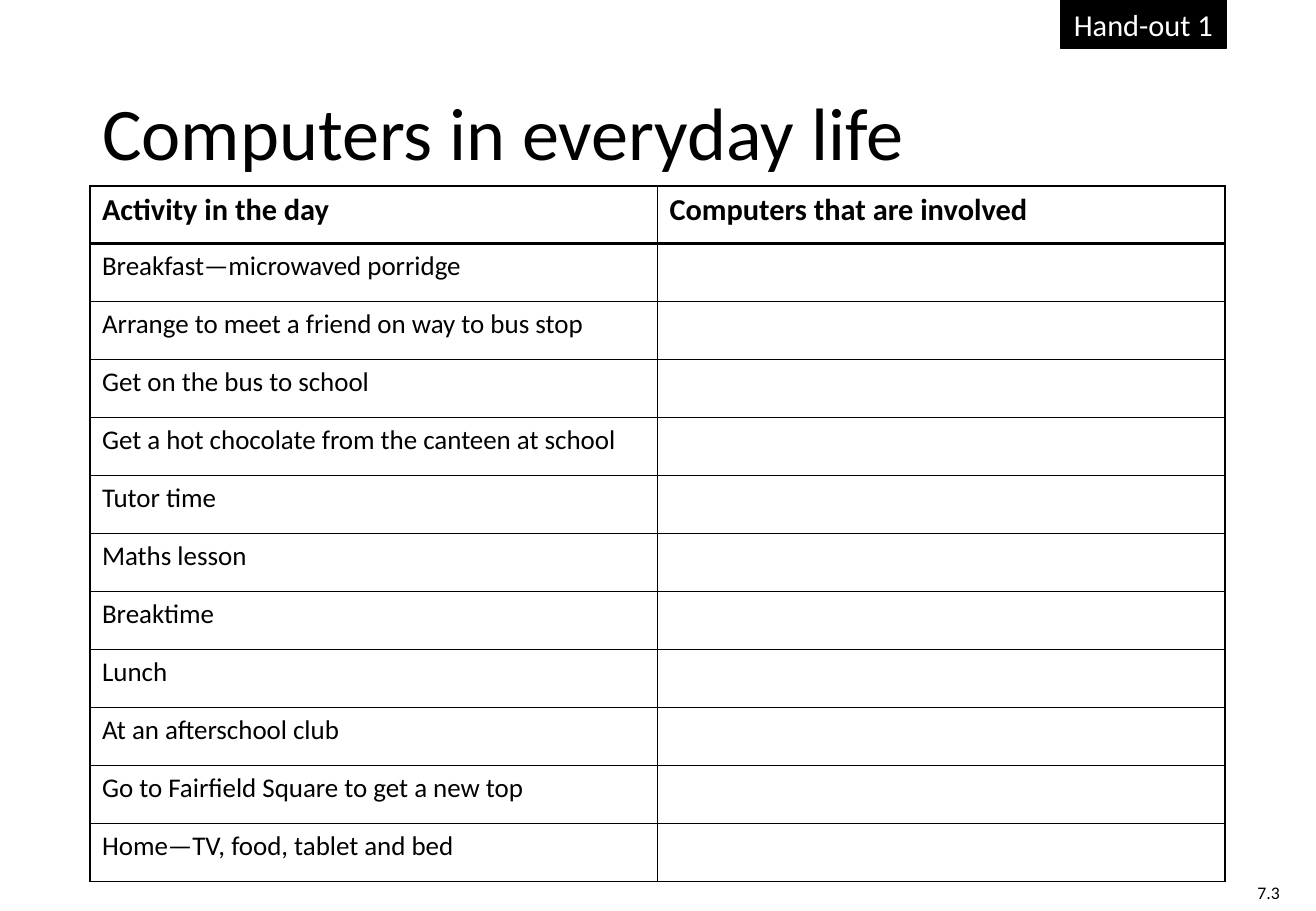
from lxml import etree
from pptx import Presentation
from pptx.dml.color import RGBColor
from pptx.enum.shapes import MSO_SHAPE as Shape
from pptx.enum.text import MSO_ANCHOR as Anchor, PP_ALIGN as Align
from pptx.oxml.ns import qn
from pptx.util import Inches, Pt

FONT = "Calibri"
BLACK, WHITE = "000000", "FFFFFF"
LEFT, WIDTH = 0.74, 9.34
TABLE_TOP, TABLE_HEIGHT = 1.53, 5.73

HEADINGS = ["Activity in the day", "Computers that are involved"]
ACTIVITIES = [
    "Breakfast—microwaved porridge",
    "Arrange to meet a friend on way to bus stop",
    "Get on the bus to school",
    "Get a hot chocolate from the canteen at school",
    "Tutor time",
    "Maths lesson",
    "Breaktime",
    "Lunch",
    "At an afterschool club",
    "Go to Fairfield Square to get a new top",
    "Home—TV, food, tablet and bed",
]


def colour(value):
    return RGBColor.from_string(value)


def write(frame, text, size, shade=BLACK, bold=False, align=Align.LEFT):
    frame.text = text
    para = frame.paragraphs[0]
    para.alignment = align
    para.font.name = FONT
    para.font.size = Pt(size)
    para.font.bold = bold
    para.font.color.rgb = colour(shade)
    return para


def add_title(page, text):
    title = page.shapes.title
    title.left, title.top = Inches(LEFT), Inches(0.4)
    title.width, title.height = Inches(WIDTH), Inches(1.45)
    title.text_frame.vertical_anchor = Anchor.MIDDLE
    write(title.text_frame, text, 44).line_spacing = 0.9


def add_page_number(page, text):
    box = page.shapes.add_textbox(Inches(10.25), Inches(7.21), Inches(0.4), Inches(0.29))
    box.text_frame.word_wrap = False
    write(box.text_frame, text, 10.5)


def add_label(page, text):
    box = page.shapes.add_shape(Shape.RECTANGLE, Inches(8.73), 0, Inches(1.36), Inches(0.4))
    box.shadow.inherit = False
    box.fill.solid()
    box.fill.fore_color.rgb = colour(BLACK)
    box.line.color.rgb = colour(BLACK)
    box.line.width = Pt(1)
    box.text_frame.word_wrap = False
    write(box.text_frame, text, 18, WHITE, align=Align.CENTER)


def set_border(cell, side, width):
    line = etree.SubElement(cell._tc.get_or_add_tcPr(), qn(f"a:ln{side}"), w=str(Pt(width)))
    fill = etree.SubElement(line, qn("a:solidFill"))
    etree.SubElement(fill, qn("a:srgbClr"), val=BLACK)


def add_activity_table(page):
    rows = [HEADINGS] + [[activity, ""] for activity in ACTIVITIES]
    table = page.shapes.add_table(
        len(rows), len(HEADINGS), Inches(LEFT), Inches(TABLE_TOP),
        Inches(WIDTH), Inches(TABLE_HEIGHT)).table
    table.first_row = table.horz_banding = False

    for row_index, texts in enumerate(rows):
        is_header = row_index == 0
        for column, text in enumerate(texts):
            cell = table.cell(row_index, column)
            if text:
                write(cell.text_frame, text, 18 if is_header else 16, bold=is_header)
            # The rule under the header is heavier than the others
            widths = {"L": 1, "R": 1, "T": 2 if row_index == 1 else 1, "B": 2 if is_header else 1}
            for side, width in widths.items():
                set_border(cell, side, width)
            cell.fill.background()


def main():
    deck = Presentation()
    deck.slide_width, deck.slide_height = Inches(10.83), Inches(7.5)
    page = deck.slides.add_slide(deck.slide_layouts[5])

    add_page_number(page, "7.3")
    add_title(page, "Computers in everyday life")
    add_activity_table(page)
    add_label(page, "Hand-out 1")
    deck.save("out.pptx")


if __name__ == "__main__":
    main()
